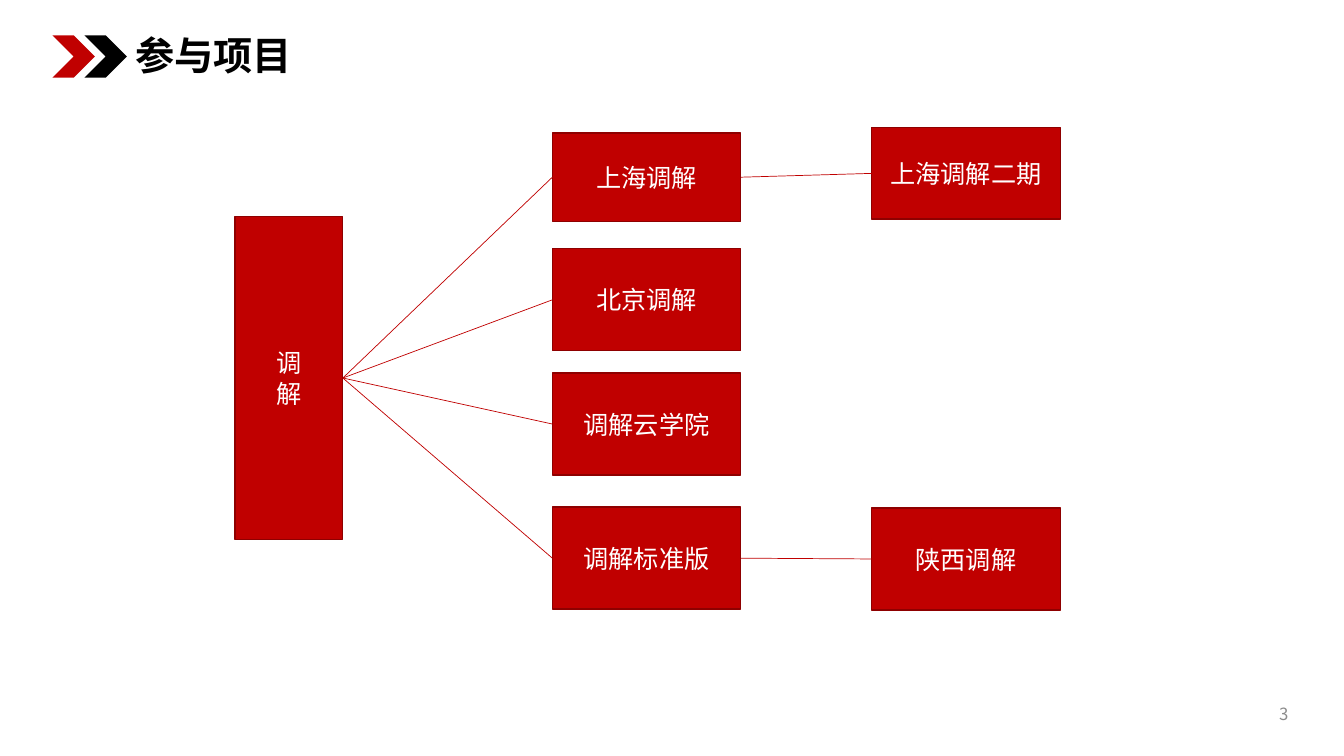
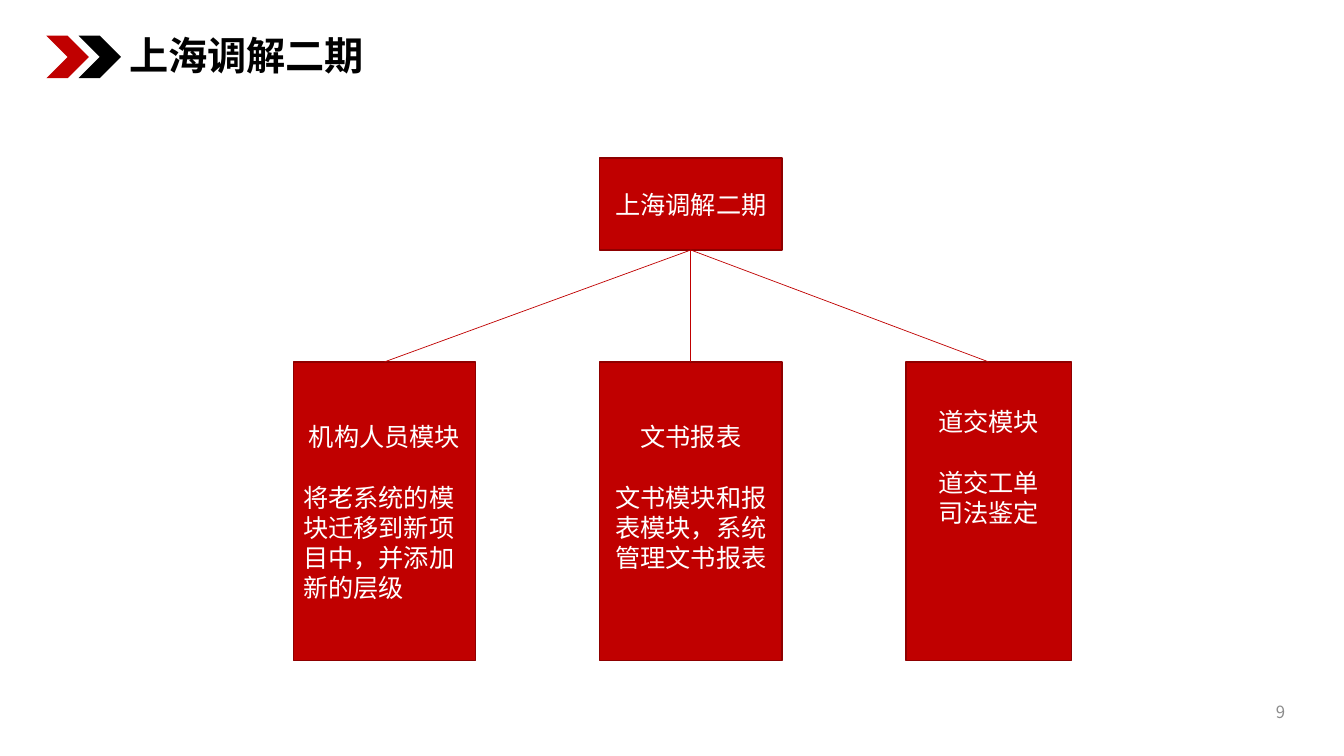
from lxml.etree import SubElement
from pptx import Presentation
from pptx.dml.color import RGBColor
from pptx.enum.shapes import MSO_CONNECTOR, MSO_SHAPE
from pptx.enum.text import MSO_ANCHOR, MSO_AUTO_SIZE, PP_ALIGN
from pptx.oxml.ns import qn
from pptx.util import Cm, Pt

RED = RGBColor(0xC0, 0x00, 0x00)
DARK_RED = RGBColor(0x8E, 0x00, 0x00)
BLACK = RGBColor(0x00, 0x00, 0x00)
WHITE = RGBColor(0xFF, 0xFF, 0xFF)
GREY = RGBColor(0x8C, 0x8C, 0x8C)
FONT = "Noto Sans CJK SC"
TOP, LEFT, BOTTOM, RIGHT = range(4)


class Deck:
    """Holds the shared style and the slide being built."""

    def __init__(self):
        self.presentation = Presentation()
        self.presentation.slide_width = Cm(33.87)
        self.presentation.slide_height = Cm(19.05)
        self.slide = None

    def style(self, paragraph, size, color, align, bold=False):
        paragraph.alignment = align
        font = paragraph.font
        font.size, font.bold, font.name = Pt(size), bold, FONT
        font.color.rgb = color
        defaults = paragraph._p.pPr.find(qn("a:defRPr"))
        SubElement(defaults, qn("a:ea"), typeface=FONT)

    def start(self, title, left, top):
        layout = self.presentation.slide_layouts[5]
        self.slide = self.presentation.slides.add_slide(layout)
        heading = self.slide.shapes.title
        heading.left, heading.top = Cm(left + 1.83), Cm(top - 0.25)
        heading.width, heading.height = Cm(6.6), Cm(1.47)
        frame = heading.text_frame
        frame.text = title
        frame.word_wrap = False
        frame.auto_size = MSO_AUTO_SIZE.NONE
        frame.vertical_anchor = MSO_ANCHOR.MIDDLE
        self.style(frame.paragraphs[0], 28, BLACK, PP_ALIGN.LEFT, True)
        for index, color in enumerate((RED, BLACK)):
            chevron = self.shape(MSO_SHAPE.CHEVRON, left + 0.81 * index, top, 1.07, 1.07, color)
            chevron.line.fill.background()

    def page_number(self, number, left, top):
        footer = self.slide.shapes.add_textbox(Cm(left), Cm(top), Cm(7.62), Cm(1.02))
        frame = footer.text_frame
        frame.text = number
        frame.word_wrap = True
        frame.vertical_anchor = MSO_ANCHOR.MIDDLE
        self.style(frame.paragraphs[0], 12, GREY, PP_ALIGN.RIGHT)

    def shape(self, preset, left, top, width, height, color):
        shape = self.slide.shapes.add_shape(preset, Cm(left), Cm(top), Cm(width), Cm(height))
        shape.shadow.inherit = False
        shape.fill.solid()
        shape.fill.fore_color.rgb = color
        return shape

    def box(self, lines, left, top, width, height):
        box = self.shape(MSO_SHAPE.RECTANGLE, left, top, width, height, RED)
        box.line.color.rgb = DARK_RED
        box.line.width = Pt(1)
        frame = box.text_frame
        frame.word_wrap = True
        frame.vertical_anchor = MSO_ANCHOR.MIDDLE
        frame.text = "\n".join(lines)
        for paragraph in frame.paragraphs:
            self.style(paragraph, 18, WHITE, PP_ALIGN.CENTER)
        return box

    def module(self, lines, left, width, inset, body_align):
        module = self.box(lines, left, 9.12, width, 7.52)
        frame = module.text_frame
        frame.vertical_anchor = MSO_ANCHOR.TOP
        frame.margin_top = Cm(inset)
        heading, *body = frame.paragraphs
        heading.space_after = Pt(22)
        for paragraph in body:
            paragraph.alignment = body_align
        return module

    def link(self, source, source_side, target, target_side):
        link = self.slide.shapes.add_connector(MSO_CONNECTOR.STRAIGHT, 0, 0, 0, 0)
        link.begin_connect(source, source_side)
        link.end_connect(target, target_side)
        link.line.color.rgb = RED
        link.line.width = Pt(0.5)
        SubElement(link._element.spPr, qn("a:effectLst"))

    def save(self):
        self.presentation.save("out.pptx")


def build_projects(deck):
    deck.start("参与项目", 1.32, 0.89)
    deck.page_number("3", 25.1, 17.48)
    mediation = deck.box(["调", "解"], 5.92, 5.46, 2.72, 8.13)
    projects = {}
    for name, top, height in (
        ("上海调解", 3.35, 2.23),
        ("北京调解", 6.27, 2.57),
        ("调解云学院", 9.4, 2.57),
        ("调解标准版", 12.78, 2.57),
    ):
        projects[name] = deck.box([name], 13.92, top, 4.75, height)
        deck.link(mediation, RIGHT, projects[name], LEFT)
    for parent, name, top, height in (
        ("上海调解", "上海调解二期", 3.22, 2.3),
        ("调解标准版", "陕西调解", 12.8, 2.57),
    ):
        successor = deck.box([name], 21.97, top, 4.75, height)
        deck.link(projects[parent], RIGHT, successor, LEFT)


def build_second_phase(deck):
    deck.start("上海调解二期", 1.17, 0.9)
    deck.page_number("9", 25.02, 17.42)
    phase = deck.box(["上海调解二期"], 15.11, 3.98, 4.6, 2.32)
    modules = (
        (["机构人员模块", "将老系统的模块迁移到新项目中，并添加新的层级"], 4.6, 1.49, PP_ALIGN.LEFT),
        (["文书报表", "文书模块和报表模块，系统管理文书报表"], 4.6, 1.49, PP_ALIGN.CENTER),
        (["道交模块", "道交工单", "司法鉴定"], 4.17, 1.11, PP_ALIGN.CENTER),
    )
    for index, (lines, width, inset, body_align) in enumerate(modules):
        module = deck.module(lines, 7.39 + 7.72 * index, width, inset, body_align)
        deck.link(phase, BOTTOM, module, TOP)


def main():
    deck = Deck()
    build_projects(deck)
    build_second_phase(deck)
    deck.save()


if __name__ == "__main__":
    main()
